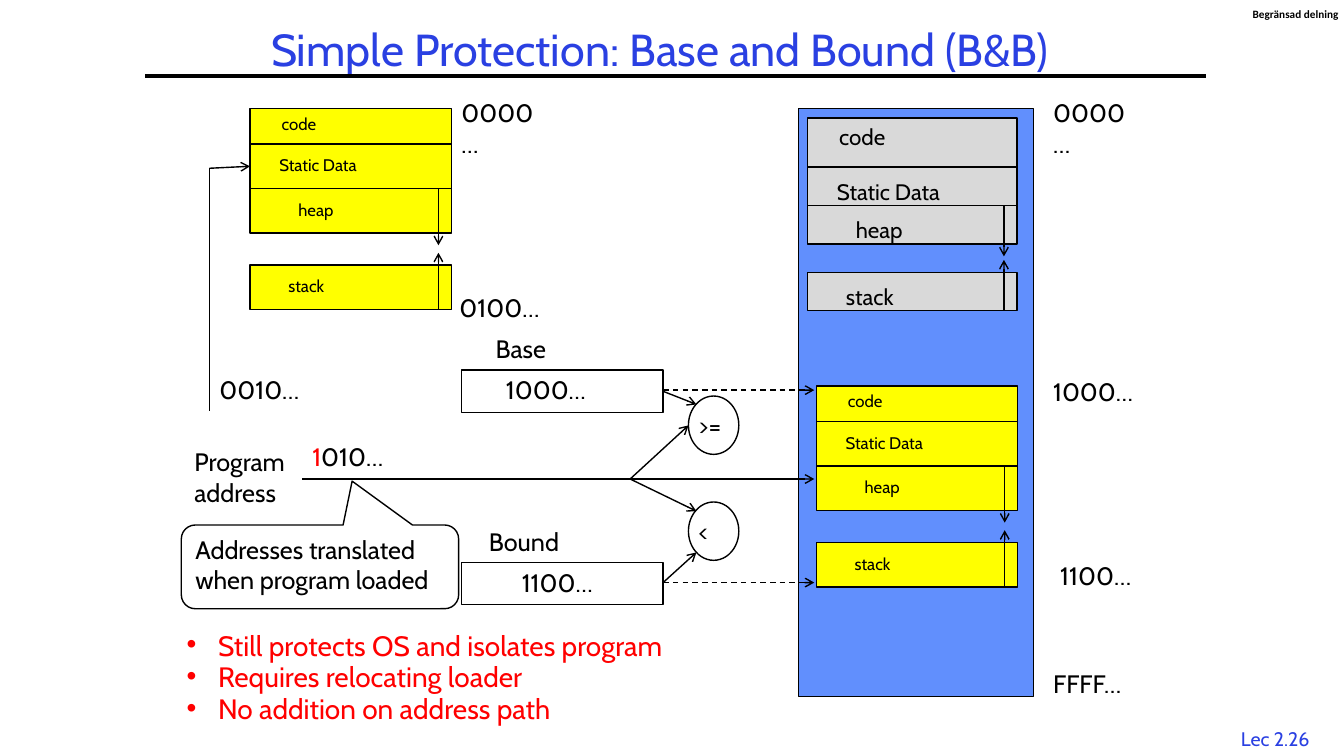
from typing import NamedTuple

from lxml.etree import SubElement
from pptx import Presentation
from pptx.dml.color import RGBColor
from pptx.enum.dml import MSO_LINE
from pptx.enum.shapes import MSO_CONNECTOR, MSO_SHAPE
from pptx.enum.text import MSO_ANCHOR, MSO_AUTO_SIZE, PP_ALIGN
from pptx.oxml.ns import qn
from pptx.util import Cm, Pt

BLACK = RGBColor(0x00, 0x00, 0x00)
WHITE = RGBColor(0xFF, 0xFF, 0xFF)
RED = RGBColor(0xFF, 0x00, 0x00)
BLUE = RGBColor(0x2A, 0x40, 0xE2)
SKY = RGBColor(0x61, 0x8F, 0xFD)
GREY = RGBColor(0xD9, 0xD9, 0xD9)
GOLD = RGBColor(0xFF, 0xFF, 0x00)
FACE = "Cabin"


class Label(NamedTuple):
    text: str
    left: float
    top: float
    width: float
    wrap: bool = False


class Link(NamedTuple):
    x1: float
    y1: float
    x2: float
    y2: float
    head: bool = True
    dash: bool = False


class Stack(NamedTuple):
    left: float
    top: float
    width: float
    first: float  # height of the code row
    rest: float  # height of the other rows
    gap: float
    size: int
    fill: RGBColor


class Row(NamedTuple):
    name: str
    shift: float
    ratio: float  # text width per point of type
    drop: float


# Lengths in centimetres
ROWS = [
    Row("code", 0.55, 0.076, 0),
    Row("Static Data", 0.49, 0.174, 0.15),
    Row("heap", 0.97, 0.078, 0.15),
    Row("stack", 0.72, 0.083, 0.15),
]
STACKS = [
    Stack(20.35, 2.97, 5.28, 1.24, 0.97, 0.71, 16, GREY),
    Stack(20.57, 9.73, 5.08, 0.89, 1.12, 0.81, 12, GOLD),
    Stack(6.3, 2.74, 5.08, 0.89, 1.12, 0.81, 12, GOLD),
]
LABELS = [
    Label("0000…", 26.29, 2.34, 2.59, True),
    Label("FFFF…", 26.29, 16.71, 2.72),
    Label("1000…", 26.29, 9.35, 2.59),
    Label("0000…", 11.38, 2.34, 2.59, True),
    Label("1100…", 26.47, 14, 2.54),
    Label("0100…", 11.33, 7.24, 2.59),
    Label("Bound", 12.07, 13.13, 2.36),
    Label("1100…", 12.9, 14.17, 2.51),
    Label("Base", 12.24, 8.28, 1.98),
    Label("1000…", 12.5, 9.32, 2.59),
    Label(">=", 17.35, 10.21, 1.27),
    Label("<", 17.35, 12.88, 0.89),
    Label("Program\naddress", 4.65, 11.13, 2.97),
    Label("0010…", 5.28, 9.32, 2.59),
]
LINKS = [
    Link(16.71, 14.68, 20.52, 14.68, dash=True),
    Link(16.71, 9.83, 20.52, 9.83, dash=True),
    Link(16.71, 9.86, 17.55, 10.19),
    Link(15.88, 12.07, 17.35, 10.72),
    Link(15.88, 12.07, 17.55, 12.88),
    Link(16.71, 14.68, 17.55, 13.92),
    Link(15.88, 12.07, 20.52, 12.07),
    Link(7.62, 12.07, 15.88, 12.07, head=False),
    Link(5.28, 4.24, 6.3, 4.19),
    Link(5.28, 4.24, 5.28, 10.36, head=False),
]
POINTS = [
    "Still protects OS and isolates program",
    "Requires relocating loader",
    "No addition on address path",
]


def style(para, size: float, color: RGBColor = BLACK, face: str = FACE) -> None:
    para.font.size = Pt(size)
    para.font.name = face
    para.font.color.rgb = color


def place(shape, left: float, top: float, width: float, height: float) -> None:
    shape.left, shape.top = Cm(left), Cm(top)
    shape.width, shape.height = Cm(width), Cm(height)


def write(slide, label: Label, size: float = 18, color: RGBColor = BLACK,
          face: str = FACE):
    lines = label.text.count("\n") + 1
    high = 0.25 + 0.043 * size * lines
    box = slide.shapes.add_textbox(Cm(label.left), Cm(label.top), Cm(label.width), Cm(high))
    frame = box.text_frame
    frame.text = label.text
    frame.word_wrap = label.wrap
    for para in frame.paragraphs:
        style(para, size, color, face)
    return frame


def block(slide, kind: MSO_SHAPE, left: float, top: float, width: float,
          height: float, fill: RGBColor | None = None):
    shape = slide.shapes.add_shape(kind, Cm(left), Cm(top), Cm(width), Cm(height))
    shape.shadow.inherit = False
    if fill is None:
        shape.fill.background()
    else:
        shape.fill.solid()
        shape.fill.fore_color.rgb = fill
    shape.line.color.rgb = BLACK
    shape.line.width = Pt(1)
    return shape


def join(slide, link: Link, width: float = 1) -> None:
    line = slide.shapes.add_connector(
        MSO_CONNECTOR.STRAIGHT, Cm(link.x1), Cm(link.y1), Cm(link.x2), Cm(link.y2))
    line.line.color.rgb = BLACK
    line.line.width = Pt(width)
    if link.dash:
        line.line.dash_style = MSO_LINE.DASH
    if link.head:
        SubElement(line.line._get_or_add_ln(), qn("a:tailEnd"), type="arrow")
    SubElement(line._element.spPr, qn("a:effectLst"))


def pile(slide, stack: Stack) -> None:
    heap = stack.top + stack.first + stack.rest
    last = heap + stack.rest + stack.gap
    tops = [stack.top, stack.top + stack.first, heap, last]
    for row, top in zip(ROWS, tops):
        high = stack.first if top == stack.top else stack.rest
        block(slide, MSO_SHAPE.RECTANGLE, stack.left, top, stack.width, high, stack.fill)
        write(slide, Label(row.name, stack.left + row.shift, top + row.drop,
                           0.51 + row.ratio * stack.size), stack.size)
    # Heap grows down, stack grows up
    x = stack.left + stack.width - 0.33
    reach = stack.rest + 0.31
    end = last + stack.rest
    join(slide, Link(x, end, x, end - reach))
    join(slide, Link(x, heap, x, heap + reach))


def main() -> None:
    deck = Presentation()
    deck.slide_width, deck.slide_height = Cm(33.87), Cm(19.05)
    slide = deck.slides.add_slide(deck.slide_layouts[1])

    # Title, rule and margin notes
    title = slide.shapes.title
    place(title, 4.88, 0.28, 23.5, 2.06)
    title.text_frame.text = "Simple Protection: Base and Bound (B&B)"
    title.text_frame.auto_size = MSO_AUTO_SIZE.NONE
    title.text_frame.vertical_anchor = MSO_ANCHOR.MIDDLE
    head = title.text_frame.paragraphs[0]
    head.alignment, head.line_spacing = PP_ALIGN.CENTER, 0.9
    style(head, 32, BLUE)
    join(slide, Link(3.66, 1.91, 30.4, 1.91, head=False), 3)
    page = write(slide, Label("Lec 2.26", 30.91, 18.19, 2.46), 14, BLUE)
    page.paragraphs[0].alignment = PP_ALIGN.CENTER
    note = write(slide, Label("Begränsad delning", 31.57, 0.18, 2.18), 8, face="Calibri")
    note.margin_left = note.margin_right = note.margin_top = note.margin_bottom = 0
    note.paragraphs[0].font.bold = True

    # Memory and programs
    block(slide, MSO_SHAPE.RECTANGLE, 20.12, 2.74, 5.92, 14.81, SKY)
    for stack in STACKS:
        pile(slide, stack)

    # Registers, comparators and wiring
    for top in (14.17, 9.32):
        block(slide, MSO_SHAPE.RECTANGLE, 11.63, top, 5.08, 1.07)
    for top in (9.98, 12.65):
        block(slide, MSO_SHAPE.OVAL, 17.35, top, 1.27, 1.47)
    for link in LINKS:
        join(slide, link)
    for label in LABELS:
        write(slide, label)
    moved = write(slide, Label("1", 7.62, 11, 2.59)).paragraphs[0]
    moved.runs[0].font.color.rgb = RED
    moved.add_run().text = "010…"

    # Conclusions
    body = slide.placeholders[1]
    place(body, 4.45, 15.93, 15.67, 3.53)
    body.text_frame.text = "\n".join(POINTS)
    body.text_frame.auto_size = MSO_AUTO_SIZE.NONE
    for i, para in enumerate(body.text_frame.paragraphs):
        props = para._p.get_or_add_pPr()
        props.set("marL", str(Cm(0.79)))
        props.set("indent", str(Cm(-0.79)))
        SubElement(props, qn("a:buChar"), char="•")
        para.line_spacing = 0.7
        para.space_before = Pt(6 if i else 0)
        style(para, 20, RED)

    # Callout
    call = block(slide, MSO_SHAPE.ROUNDED_RECTANGULAR_CALLOUT, 4.57, 13.23, 6.99, 2.11, WHITE)
    for i, value in enumerate((0.116, -1.024, 0.167)):
        call.adjustments[i] = value
    call.text_frame.text = "Addresses translated when program loaded"
    call.text_frame.vertical_anchor = MSO_ANCHOR.TOP
    para = call.text_frame.paragraphs[0]
    para.alignment = PP_ALIGN.LEFT
    style(para, 18)

    deck.save("out.pptx")


if __name__ == "__main__":
    main()
